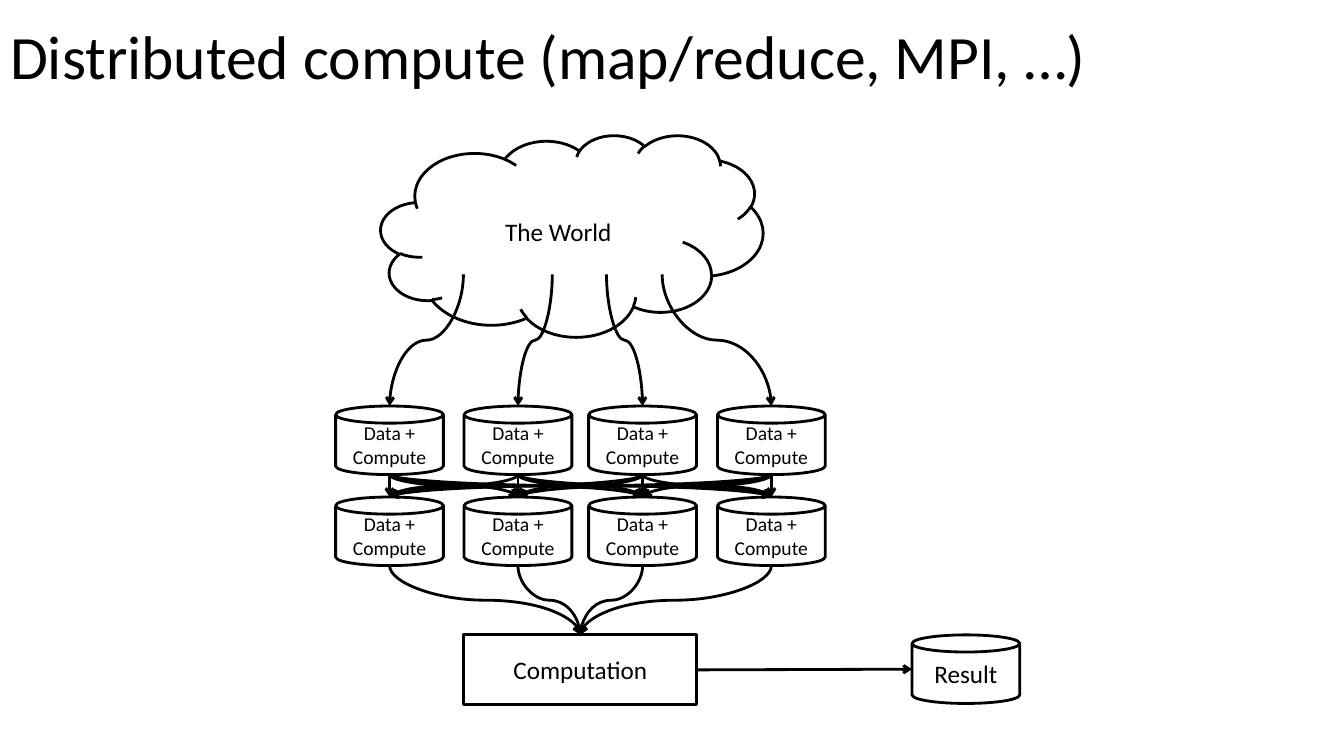
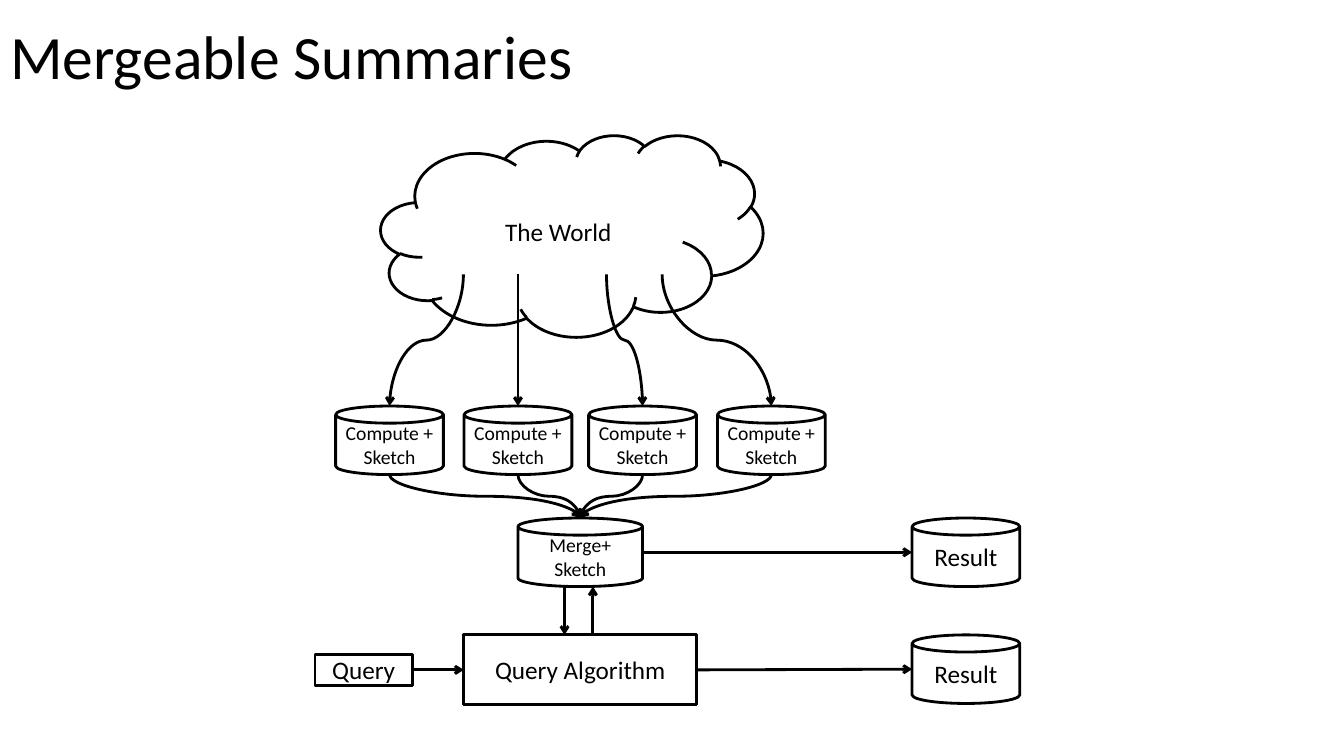
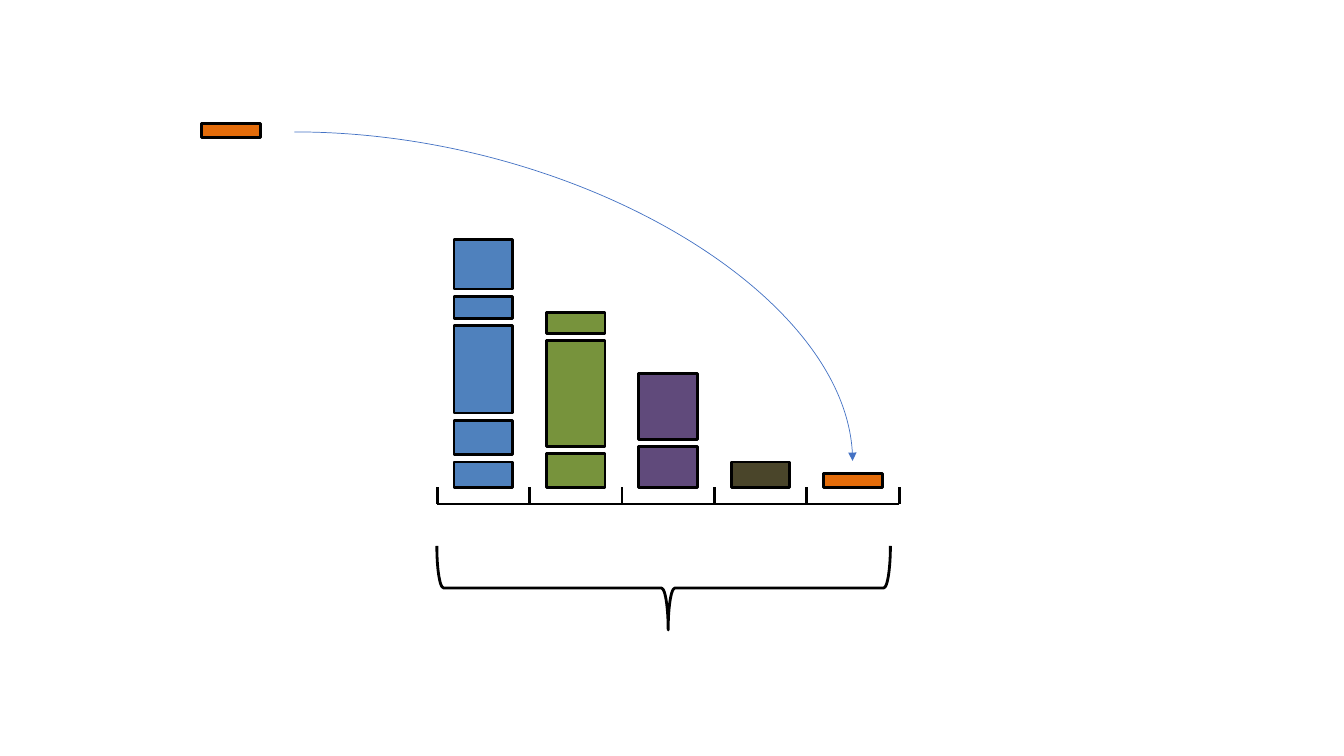
from dataclasses import dataclass
from itertools import product

from lxml import etree
from pptx import Presentation
from pptx.dml.color import RGBColor
from pptx.enum.shapes import MSO_CONNECTOR, MSO_SHAPE
from pptx.enum.text import MSO_ANCHOR, PP_ALIGN
from pptx.oxml.ns import qn
from pptx.util import Pt

STRAIGHT, CURVE = MSO_CONNECTOR.STRAIGHT, MSO_CONNECTOR.CURVE
RECT, CAN = MSO_SHAPE.RECTANGLE, MSO_SHAPE.CAN
CLOUD, BRACE = MSO_SHAPE.CLOUD, MSO_SHAPE.RIGHT_BRACE
MIDDLE = MSO_ANCHOR.MIDDLE
CENTER, LEFT = PP_ALIGN.CENTER, PP_ALIGN.LEFT
LEFT_SIDE, RIGHT_SIDE = 1, 3
TITLE_ONLY, BLANK = 5, 6


@dataclass(frozen=True)
class Theme:
    font: str = "Calibri"
    ink: str = "000000"
    paper: str = "FFFFFF"
    blue: str = "4F81BD"
    green: str = "77933C"
    purple: str = "604A7B"
    olive: str = "4A452A"
    orange: str = "E46C0A"
    path_blue: str = "4472C4"
    title_size: float = 44
    label_size: float = 18
    small_size: float = 14
    stroke: float = 2
    thin_stroke: float = 0.5


THEME = Theme()

SLIDE_W, SLIDE_H = 960, 540
TITLE_H = 85

# Flow diagrams: node centres, row tops and node sizes
NODE_CENTERS = (278.25, 370, 459, 551)
CAN_W, CAN_H = 77, 49
NODE_TOP = 290
WORLD_EXIT = 196
HUB_X = 414.5
BOX_TOP, BOX_W, BOX_H = 453.5, 166.5, 50
RESULT_X = 690

# Bucket chart
BUCKET_LEFT, BUCKET_W, BUCKET_COUNT = 312.25, 66, 5
BLOCK_W, BLOCK_GAP, BLOCK_BASE = 42, 5.25, 348
AXIS_Y = 360
NEW_BLOCK_H = 10


def style_text(frame, size, align):
    for paragraph in frame.paragraphs:
        paragraph.alignment = align
        for run in paragraph.runs:
            run.font.name = THEME.font
            run.font.size = Pt(size)
            run.font.color.rgb = RGBColor.from_string(THEME.ink)


def add_title(slide, text, width=SLIDE_W):
    title = slide.shapes.title
    title.left, title.top = Pt(0), Pt(0)
    title.width, title.height = Pt(width), Pt(TITLE_H)
    frame = title.text_frame
    frame.text = text
    frame.vertical_anchor = MIDDLE
    frame.paragraphs[0].line_spacing = 0.9
    style_text(frame, THEME.title_size, LEFT)


def add_node(slide, kind, left, top, width, height, text="", fill=None,
             size=THEME.label_size):
    """Draw an outlined shape with an optional fill and centred label."""
    node = slide.shapes.add_shape(kind, Pt(left), Pt(top), Pt(width), Pt(height))
    node.shadow.inherit = False
    if fill:
        node.fill.solid()
        node.fill.fore_color.rgb = RGBColor.from_string(fill)
    else:
        node.fill.background()
    node.line.color.rgb = RGBColor.from_string(THEME.ink)
    node.line.width = Pt(THEME.stroke)
    if text:
        frame = node.text_frame
        frame.text = text
        frame.word_wrap = True
        frame.vertical_anchor = MIDDLE
        frame.margin_left = frame.margin_right = Pt(5)
        style_text(frame, size, CENTER)
    return node


def add_can(slide, center, top, text, width=CAN_W, size=THEME.small_size):
    return add_node(slide, CAN, center - width / 2, top, width, CAN_H, text,
                    THEME.paper, size)


def add_line(slide, kind, start, end, head=None, color=THEME.ink,
             weight=THEME.stroke):
    line = slide.shapes.add_connector(kind, *map(Pt, (*start, *end)))
    line.line.color.rgb = RGBColor.from_string(color)
    line.line.width = Pt(weight)
    if head:
        outline = line.line._get_or_add_ln()
        etree.SubElement(outline, qn("a:tailEnd"), type=head)
    etree.SubElement(line._element.spPr, qn("a:effectLst"))
    return line


def add_arrow(slide, start, end):
    return add_line(slide, STRAIGHT, start, end, "arrow")


def add_drop(slide, start, end):
    """Draw an S-curved arrow that leaves and arrives vertically."""
    (x1, y1), (x2, y2) = start, end
    if x1 == x2:
        return add_arrow(slide, start, end)
    mid_x, mid_y = (x1 + x2) / 2, (y1 + y2) / 2
    half_run, half_fall = abs(x2 - x1) / 2, abs(y2 - y1) / 2
    drop = add_line(slide, CURVE, (mid_x - half_fall, mid_y - half_run),
                    (mid_x + half_fall, mid_y + half_run), "arrow")
    frame = drop._element.spPr.find(qn("a:xfrm"))
    if x2 < x1:
        frame.set("rot", str(90 * 60000))
    else:
        frame.set("rot", str(270 * 60000))
        frame.set("flipH", "1")
    return drop


def add_node_row(slide, top, text):
    for center in NODE_CENTERS:
        add_can(slide, center, top, text)


def add_world(slide, exits):
    """Draw the cloud and one arrow from each exit to the node below it."""
    add_node(slide, CLOUD, 272, 96.5, 273, 144, "The World")
    for exit_x, center in zip(exits, NODE_CENTERS):
        add_drop(slide, (exit_x, WORLD_EXIT), (center, NODE_TOP))


def add_gather(slide, top, bottom):
    """Lead every node to the hub below."""
    for center in NODE_CENTERS:
        add_drop(slide, (center, top), (HUB_X, bottom))


def add_result(slide, top, source_right):
    """Draw a result store and the arrow that feeds it."""
    add_can(slide, RESULT_X, top, "Result", size=THEME.label_size)
    middle = top + CAN_H / 2
    return add_arrow(slide, (source_right, middle),
                     (RESULT_X - CAN_W / 2, middle))


def add_box_with_result(slide, text):
    box = add_node(slide, RECT, HUB_X - BOX_W / 2, BOX_TOP, BOX_W, BOX_H, text)
    output = add_result(slide, BOX_TOP, HUB_X + BOX_W / 2)
    output.begin_connect(box, RIGHT_SIDE)
    return box


def add_stack(slide, bucket, color, heights):
    """Pile blocks upward from the base of a bucket."""
    left = BUCKET_LEFT + bucket * BUCKET_W + (BUCKET_W - BLOCK_W) / 2
    bottom = BLOCK_BASE
    for height in heights:
        add_node(slide, RECT, left, bottom - height, BLOCK_W, height, fill=color)
        bottom -= height + BLOCK_GAP


def build_distributed(slide):
    second_top = 355
    add_title(slide, "Distributed compute (map/reduce, MPI, …)")
    for top in (NODE_TOP, second_top):
        add_node_row(slide, top, "Data +\nCompute")
    add_world(slide, (331, 394.5, 433.25, 473))
    for source, target in product(NODE_CENTERS, repeat=2):
        add_drop(slide, (source, NODE_TOP + CAN_H), (target, second_top))
    add_gather(slide, second_top + CAN_H, BOX_TOP)
    add_box_with_result(slide, "Computation")


def build_mergeable(slide):
    merge_top, merge_w = 370, 89
    merge_bottom = merge_top + CAN_H
    add_title(slide, "Mergeable Summaries", 671)
    add_node_row(slide, NODE_TOP, "Compute + Sketch")
    add_world(slide, (331, 370, 433.25, 473))
    add_can(slide, HUB_X, merge_top, "Merge+ Sketch", merge_w)
    add_gather(slide, NODE_TOP + CAN_H, merge_top)
    add_result(slide, merge_top, HUB_X + merge_w / 2)

    algorithm = add_box_with_result(slide, "Query Algorithm")
    add_arrow(slide, (403.25, merge_bottom), (403.25, BOX_TOP))
    add_arrow(slide, (423.5, BOX_TOP), (423.5, merge_bottom))

    query_h = 22
    middle = BOX_TOP + BOX_H / 2
    query = add_node(slide, RECT, 225, middle - query_h / 2, 69.5, query_h, "Query")
    request = add_arrow(slide, (294.5, middle), (HUB_X - BOX_W / 2, middle))
    request.begin_connect(query, RIGHT_SIDE)
    request.end_connect(algorithm, LEFT_SIDE)


def build_buckets(slide):
    stacks = (
        (THEME.blue, (18, 24.5, 62.5, 15.5, 35.5)),
        (THEME.green, (24, 75.5, 15)),
        (THEME.purple, (29, 47)),
        (THEME.olive, (18,)),
        (THEME.orange, (NEW_BLOCK_H,)),
    )
    for bucket, (color, heights) in enumerate(stacks):
        add_stack(slide, bucket, color, heights)

    axis_right = BUCKET_LEFT + BUCKET_COUNT * BUCKET_W
    add_line(slide, STRAIGHT, (BUCKET_LEFT, AXIS_Y), (axis_right, AXIS_Y))
    for edge in range(BUCKET_COUNT + 1):
        x = BUCKET_LEFT + edge * BUCKET_W
        add_line(slide, STRAIGHT, (x, BLOCK_BASE), (x, AXIS_Y))

    brace = add_node(slide, BRACE, 444, 258, 60, 324)
    brace.rotation = 90
    brace.adjustments[0], brace.adjustments[1] = 0.08, 0.49

    add_node(slide, RECT, 144, 88, BLOCK_W, NEW_BLOCK_H, fill=THEME.orange)
    arrival = add_line(slide, CURVE, (210.25, 94.25), (609, 329.25), "triangle",
                       THEME.path_blue, THEME.thin_stroke)
    arrival._element.spPr.find(qn("a:prstGeom")).set("prst", "curvedConnector2")


def main():
    deck = Presentation()
    deck.slide_width, deck.slide_height = Pt(SLIDE_W), Pt(SLIDE_H)
    for build, layout in ((build_distributed, TITLE_ONLY),
                          (build_mergeable, TITLE_ONLY),
                          (build_buckets, BLANK)):
        build(deck.slides.add_slide(deck.slide_layouts[layout]))
    deck.save("out.pptx")


if __name__ == "__main__":
    main()
